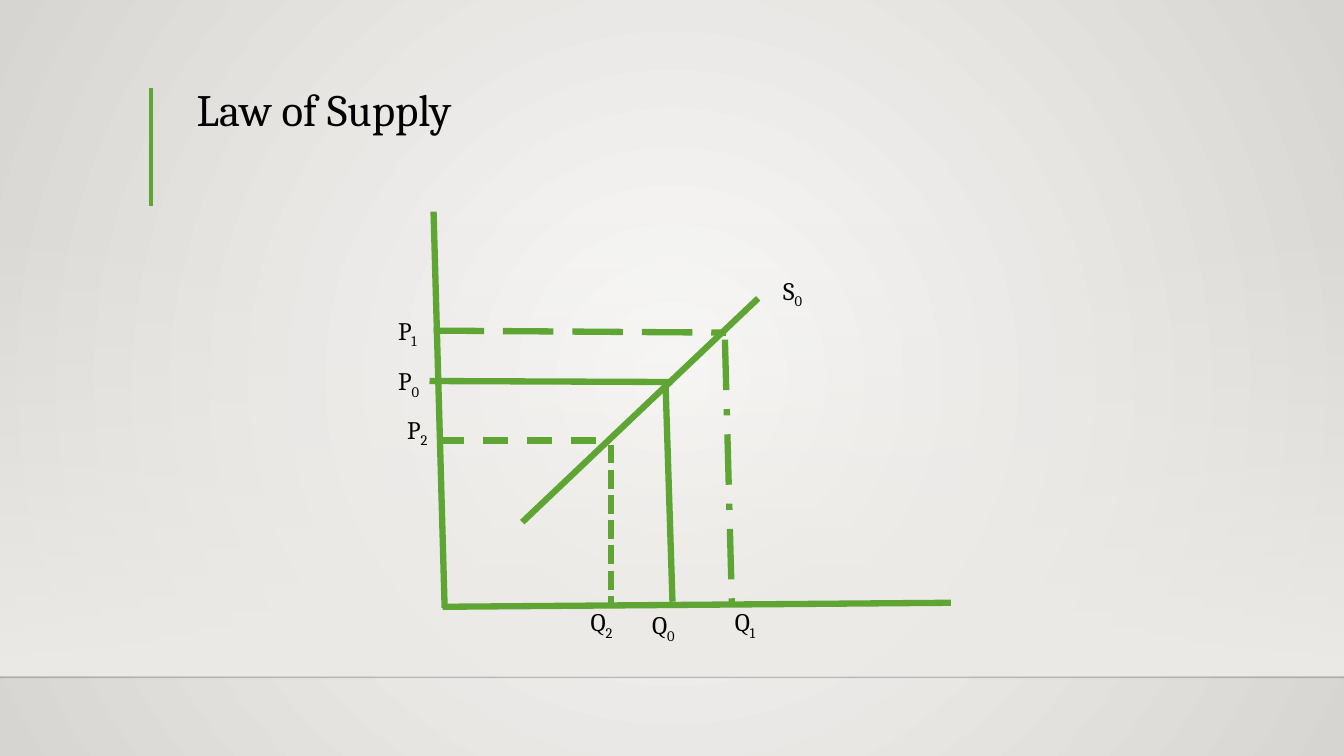
from lxml import etree
from pptx import Presentation
from pptx.dml.color import RGBColor
from pptx.enum.dml import MSO_LINE_DASH_STYLE as Dash
from pptx.enum.shapes import MSO_CONNECTOR as Connector, MSO_SHAPE as Shape
from pptx.enum.text import MSO_ANCHOR as Anchor, MSO_AUTO_SIZE as AutoSize, PP_ALIGN as Align
from pptx.oxml import parse_xml
from pptx.oxml.ns import nsdecls, qn
from pptx.util import Inches, Pt

WIDTH, HEIGHT = 13.33, 7.5
RADIAL = '<a:path path="circle"><a:fillToRect l="50000" t="50000" r="50000" b="50000"/></a:path>'
DOWNWARD = '<a:lin ang="5400000" scaled="0"/>'


def paint(color_format, color):
    color_format.rgb = RGBColor.from_string(color)


def set_alpha(element, percent):
    """Make the first colour inside the element partly transparent."""
    color = element.find(".//" + qn("a:srgbClr"))
    etree.SubElement(color, qn("a:alpha")).set("val", str(percent * 1000))


def set_gradient(fill, container, colors, direction):
    """Give a fill inside the container two colour stops and a direction."""
    fill.gradient()
    stops = "".join(
        f'<a:gs pos="{position}"><a:srgbClr val="{color}"/></a:gs>'
        for position, color in zip((0, 100000), colors))
    gradient = parse_xml(
        f'<a:gradFill {nsdecls("a")} rotWithShape="1">'
        f"<a:gsLst>{stops}</a:gsLst>{direction}</a:gradFill>")
    placeholder = container.find(".//" + qn("a:gradFill"))
    placeholder.getparent().replace(placeholder, gradient)
    return gradient


def add_run(paragraph, text, size=18, color="000000", font="Cambria", baseline=None):
    run = paragraph.add_run()
    run.text = text
    run.font.name = font
    run.font.size = Pt(size)
    paint(run.font.color, color)
    if baseline is not None:
        run.font._element.set("baseline", str(baseline * 1000))


class DiagramSlide:
    green = "5FA534"

    def __init__(self, presentation):
        self.slide = presentation.slides.add_slide(presentation.slide_layouts[5])
        set_gradient(self.slide.background.fill, self.slide.element,
                     ("FAFAF9", "D7D5D2"), RADIAL)

    def band(self, left, top, width, height, color):
        """Draw a rectangle that fades in from top to bottom."""
        shape = self.slide.shapes.add_shape(
            Shape.RECTANGLE, Inches(left), Inches(top), Inches(width), Inches(height))
        shape.shadow.inherit = False
        shape.line.fill.background()
        gradient = set_gradient(shape.fill, shape.element.spPr, (color, color), DOWNWARD)
        set_alpha(gradient, 0)

    def line(self, start, end, color=green, width=4.5, dash=None, alpha=None):
        connector = self.slide.shapes.add_connector(
            Connector.STRAIGHT, *(Inches(value) for value in (*start, *end)))
        connector.line.width = Pt(width)
        paint(connector.line.color, color)
        if dash is not None:
            connector.line.dash_style = dash
        properties = connector._element.spPr
        if alpha is not None:
            set_alpha(properties, alpha)
        etree.SubElement(properties, qn("a:effectLst"))

    def title(self, text, left, top, width, height):
        title = self.slide.shapes.title
        title.left, title.top = Inches(left), Inches(top)
        title.width, title.height = Inches(width), Inches(height)
        frame = title.text_frame
        frame.auto_size = AutoSize.NONE
        frame.vertical_anchor = Anchor.BOTTOM
        paragraph = frame.paragraphs[0]
        paragraph.alignment = Align.LEFT
        paragraph.line_spacing = 0.9
        add_run(paragraph, text, size=32)

    def label(self, letter, index, left, top, width):
        """Write a letter with a subscript index."""
        box = self.slide.shapes.add_textbox(
            Inches(left), Inches(top), Inches(width), Inches(0.4))
        frame = box.text_frame
        frame.word_wrap = False
        frame.auto_size = AutoSize.SHAPE_TO_FIT_TEXT
        paragraph = frame.paragraphs[0]
        add_run(paragraph, letter)
        add_run(paragraph, index, baseline=-25)


def main():
    presentation = Presentation()
    presentation.slide_width = Inches(WIDTH)
    presentation.slide_height = Inches(HEIGHT)
    diagram = DiagramSlide(presentation)

    diagram.band(0, 2.2, WIDTH, 4.5, "EDEBE7")
    diagram.line((0, 6.72), (WIDTH, 6.72), color="000001", width=1, alpha=20)
    diagram.line((1.5, 0.87), (1.5, 2.04), width=3)
    diagram.title("Law of Supply", 1.85, 0.25, 10.41, 1.15)

    price_axis = (4.3, 2.1), (4.41, 6.03)
    quantity_axis = (4.39, 6.02), (9.43, 5.98)
    supply_curve = (5.18, 5.18), (7.52, 2.96)
    for start, end in (price_axis, quantity_axis, supply_curve):
        diagram.line(start, end)

    guides = [
        ((4.26, 3.78), (6.67, 3.79), None),
        ((6.6, 3.78), (6.67, 5.97), None),
        ((4.3, 3.28), (7.2, 3.3), Dash.LONG_DASH),
        ((7.19, 3.37), (7.26, 6.03), Dash.LONG_DASH_DOT),
        ((4.35, 4.37), (6.09, 4.37), Dash.DASH),
        ((6.06, 4.41), (6.06, 6), Dash.SQUARE_DOT),
    ]
    for start, end, dash in guides:
        diagram.line(start, end, dash=dash)

    labels = [
        ("S", "0", 7.67, 2.68, 0.4),
        ("P", "0", 3.85, 3.58, 0.42),
        ("Q", "0", 6.37, 6, 0.46),
        ("P", "1", 3.85, 3.08, 0.44),
        ("P", "2", 3.94, 4.06, 0.44),
        ("Q", "1", 7.19, 5.97, 0.48),
        ("Q", "2", 5.76, 5.97, 0.48),
    ]
    for label in labels:
        diagram.label(*label)

    presentation.save("out.pptx")


if __name__ == "__main__":
    main()
